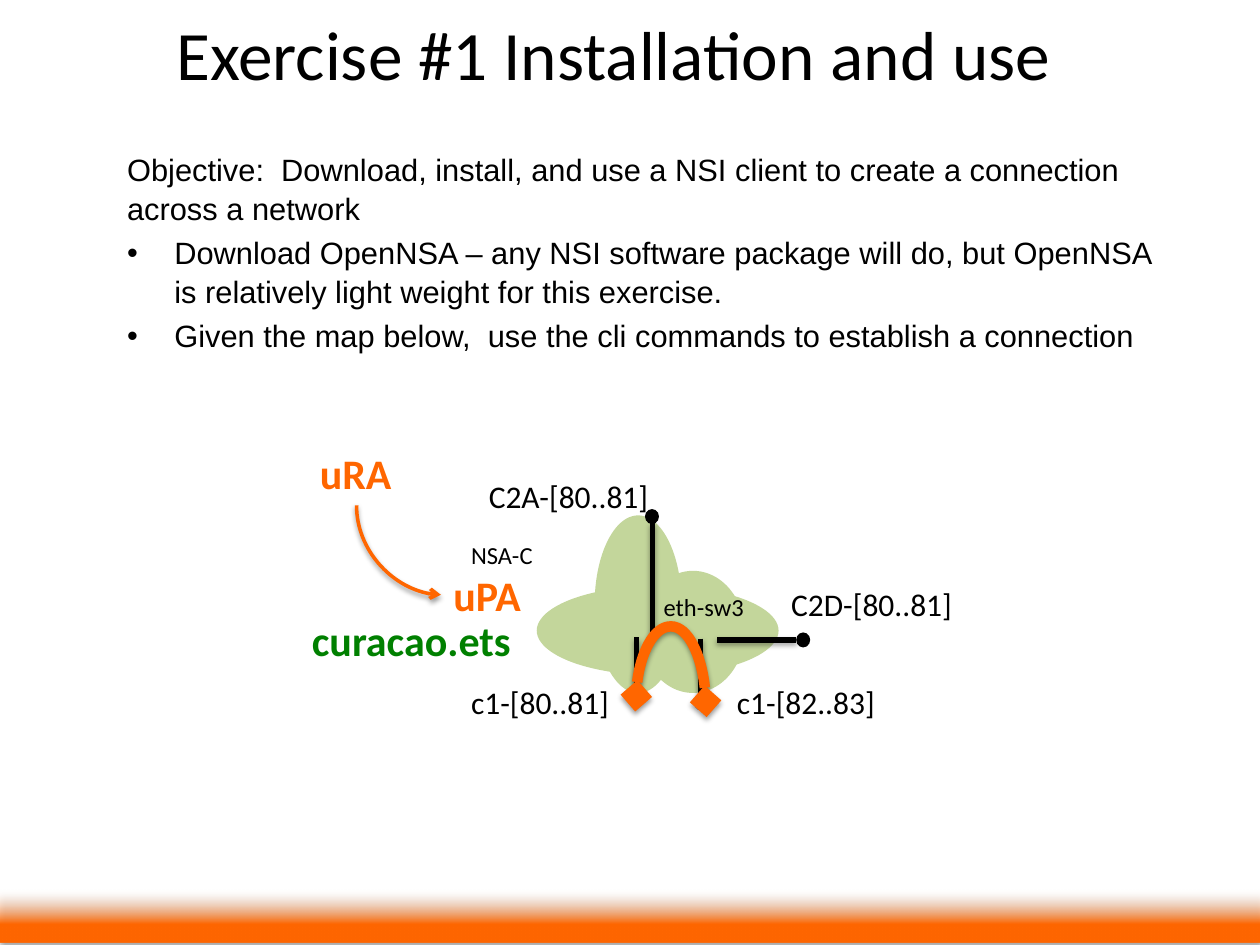
from dataclasses import dataclass

from pptx import Presentation
from pptx.dml.color import RGBColor
from pptx.enum.shapes import MSO_CONNECTOR, MSO_SHAPE
from pptx.enum.text import MSO_ANCHOR, MSO_AUTO_SIZE, PP_ALIGN
from pptx.oxml.ns import qn
from pptx.oxml.xmlchemy import OxmlElement
from pptx.util import Pt

STRAIGHT, CURVE = MSO_CONNECTOR.STRAIGHT, MSO_CONNECTOR.CURVE
RECTANGLE, OVAL = MSO_SHAPE.RECTANGLE, MSO_SHAPE.OVAL
LEFT, CENTER = PP_ALIGN.LEFT, PP_ALIGN.CENTER
MIDDLE, TOP = MSO_ANCHOR.MIDDLE, MSO_ANCHOR.TOP
FIT_SHAPE = MSO_AUTO_SIZE.SHAPE_TO_FIT_TEXT


@dataclass(frozen=True)
class Theme:
    black: str = "000000"
    white: str = "FFFFFF"
    orange: str = "FF6600"
    green: str = "008000"
    cloud: str = "C3D69B"
    heading_font: str = "Calibri"
    body_font: str = "Arial"
    title_size: float = 39.6
    body_size: float = 17.6
    agent_size: float = 24
    port_size: float = 18
    note_size: float = 14


def add_child(parent, tag, **attributes):
    child = OxmlElement(tag)
    for name, value in attributes.items():
        child.set(name, str(value))
    parent.append(child)
    return child


class SlideBuilder:
    def __init__(self, page, theme):
        self.page = page
        self.theme = theme

    def shadow(self, properties, opacity, distance):
        effects = properties.find(qn("a:effectLst"))
        if effects is None:
            effects = add_child(properties, "a:effectLst")
        outer = add_child(effects, "a:outerShdw", blurRad=Pt(3.1), dist=Pt(distance),
                          dir=5400000, rotWithShape=0)
        color = add_child(outer, "a:srgbClr", val=self.theme.black)
        add_child(color, "a:alpha", val=opacity * 1000)

    def shape(self, kind, box, color, parent=None):
        shapes = (parent or self.page).shapes
        shape = shapes.add_shape(kind, *map(Pt, box))
        shape.shadow.inherit = False
        shape.line.fill.background()
        shape.fill.solid()
        shape.fill.fore_color.rgb = RGBColor.from_string(color)
        return shape

    def band(self, box):
        band = self.shape(RECTANGLE, box, self.theme.orange)
        band.fill.gradient()
        band.fill.gradient_angle = 90
        colors = ((0.35, self.theme.orange), (1, self.theme.white))
        for stop, (position, color) in zip(band.fill.gradient_stops, colors):
            stop.position = position
            stop.color.rgb = RGBColor.from_string(color)
        properties = band._element.spPr
        fade = properties.find(qn("a:gradFill")).findall(".//" + qn("a:srgbClr"))[-1]
        add_child(fade, "a:alpha", val=0)
        self.shadow(properties, 35, 1.8)

    def cloud(self, boxes):
        group = self.page.shapes.add_group_shape()
        for box in boxes:
            self.shape(OVAL, box, self.theme.cloud, group)

    def text(self, box, lines, size, color, font, bold=False, align=LEFT,
             anchor=TOP, wrap=True):
        text_box = self.page.shapes.add_textbox(*map(Pt, box))
        frame = text_box.text_frame
        frame.text = "\n".join(lines)
        frame.word_wrap = wrap
        frame.vertical_anchor = anchor
        if not wrap:
            frame.auto_size = FIT_SHAPE
        for para in frame.paragraphs:
            para.alignment = align
            for span in para.runs:
                span.font.name = font
                span.font.size = Pt(size)
                span.font.bold = bold
                span.font.color.rgb = RGBColor.from_string(color)
        return frame

    def label(self, box, words, size, color, bold=False, align=LEFT):
        self.text(box, [words], size, color, self.theme.heading_font, bold, align,
                  wrap=False)

    def body(self, box, lines):
        frame = self.text(box, lines, self.theme.body_size, self.theme.black,
                          self.theme.body_font)
        for para in frame.paragraphs:
            para.line_spacing = 1.04
        for para in frame.paragraphs[1:]:
            para.space_before = Pt(3.5)
            properties = para._p.get_or_add_pPr()
            properties.set("marL", str(Pt(27)))
            properties.set("indent", str(Pt(-27)))
            add_child(properties, "a:buFont", typeface=self.theme.body_font)
            add_child(properties, "a:buChar", char="•")

    def line(self, ends, color, width, kind=STRAIGHT):
        line = self.page.shapes.add_connector(kind, *map(Pt, ends))
        line.line.color.rgb = RGBColor.from_string(color)
        line.line.width = Pt(width)
        self.shadow(line._element.spPr, 38, 1.6)
        return line

    def curve(self, box, width, preset, heads, bend=None):
        left, top, wide, high = box
        curve = self.line((left + wide, top, left, top + high), self.theme.orange,
                          width, CURVE)
        properties = curve._element.spPr
        properties.find(qn("a:xfrm")).set("rot", "16200000")
        geometry = properties.find(qn("a:prstGeom"))
        geometry.set("prst", preset)
        if bend is not None:
            guides = geometry.find(qn("a:avLst"))
            if guides is None:
                guides = add_child(geometry, "a:avLst")
            add_child(guides, "a:gd", name="adj1", fmla=f"val {bend}")
        outline = properties.find(qn("a:ln"))
        for tag, head in heads.items():
            add_child(outline, tag, type=head)


def main():
    theme = Theme()
    deck = Presentation()
    deck.slide_width, deck.slide_height = Pt(720), Pt(540)
    builder = SlideBuilder(deck.slides.add_slide(deck.slide_layouts[6]), theme)

    builder.band((0, 508.3, 720, 30.2))
    builder.body((65.5, 82, 610, 106.5), [
        "Objective:  Download, install, and use a NSI client to create a connection "
        "across a network",
        "Download OpenNSA – any NSI software package will do, but OpenNSA is "
        "relatively light weight for this exercise.",
        "Given the map below,  use the cli commands to establish a connection",
    ])
    builder.text((26.6, 1.4, 648, 57), ["Exercise #1 Installation and use"],
                 theme.title_size, theme.black, theme.heading_font,
                 align=CENTER, anchor=MIDDLE)

    builder.cloud([
        (306.7, 334.8, 138.2, 51.1),
        (339.8, 294.5, 49.7, 101.5),
        (366.5, 326.2, 59, 69.8),
    ])

    ports = [
        ((396.7, 397.4), (400.3, 365, 400.3, 401)),
        ((368.6, 290.9), (373, 298.8, 373, 362.9)),
        ((455, 361.4), (455, 365.8, 409.7, 365.8)),
        ((360, 395.3), (363.6, 364.3, 363.6, 400.3)),
    ]
    for corner, ends in ports:
        builder.shape(OVAL, (*corner, 8, 8.6), theme.black)
        builder.line(ends, theme.black, 3)

    port_labels = [
        ((262.1, 386.6, 94.3, 29), "c1-[80..81]"),
        ((414, 386.6, 94.3, 29), "c1-[82..83]"),
        ((272.2, 269.3, 106.6, 29), "C2A-[80..81]"),
        ((445, 330.5, 107.3, 29), "C2D-[80..81]"),
    ]
    for box, words in port_labels:
        builder.label(box, words, theme.port_size, theme.black)

    builder.label((372.2, 334.8, 61.9, 24.5), "eth-sw3", theme.note_size, theme.black)
    builder.label((262.1, 305.3, 50.4, 24.5), "NSA-C", theme.note_size, theme.black)

    agents = [
        ((169.9, 347.8, 130.3, 36), "curacao.ets", theme.green, CENTER),
        ((252, 321.8, 56.2, 36), "uPA", theme.orange, LEFT),
        ((175.7, 252, 56.2, 36), "uRA", theme.orange, LEFT),
    ]
    for box, words, color, align in agents:
        builder.label(box, words, theme.agent_size, color, True, align)

    builder.curve((202.3, 290.2, 51.1, 48.2), 2, "curvedConnector2",
                  {"a:tailEnd": "arrow"})
    builder.curve((381.8, 379.4, 3.17, 39.6), 6, "curvedConnector3",
                  {"a:headEnd": "diamond", "a:tailEnd": "diamond"}, -1249600)

    deck.save("out.pptx")


if __name__ == "__main__":
    main()
